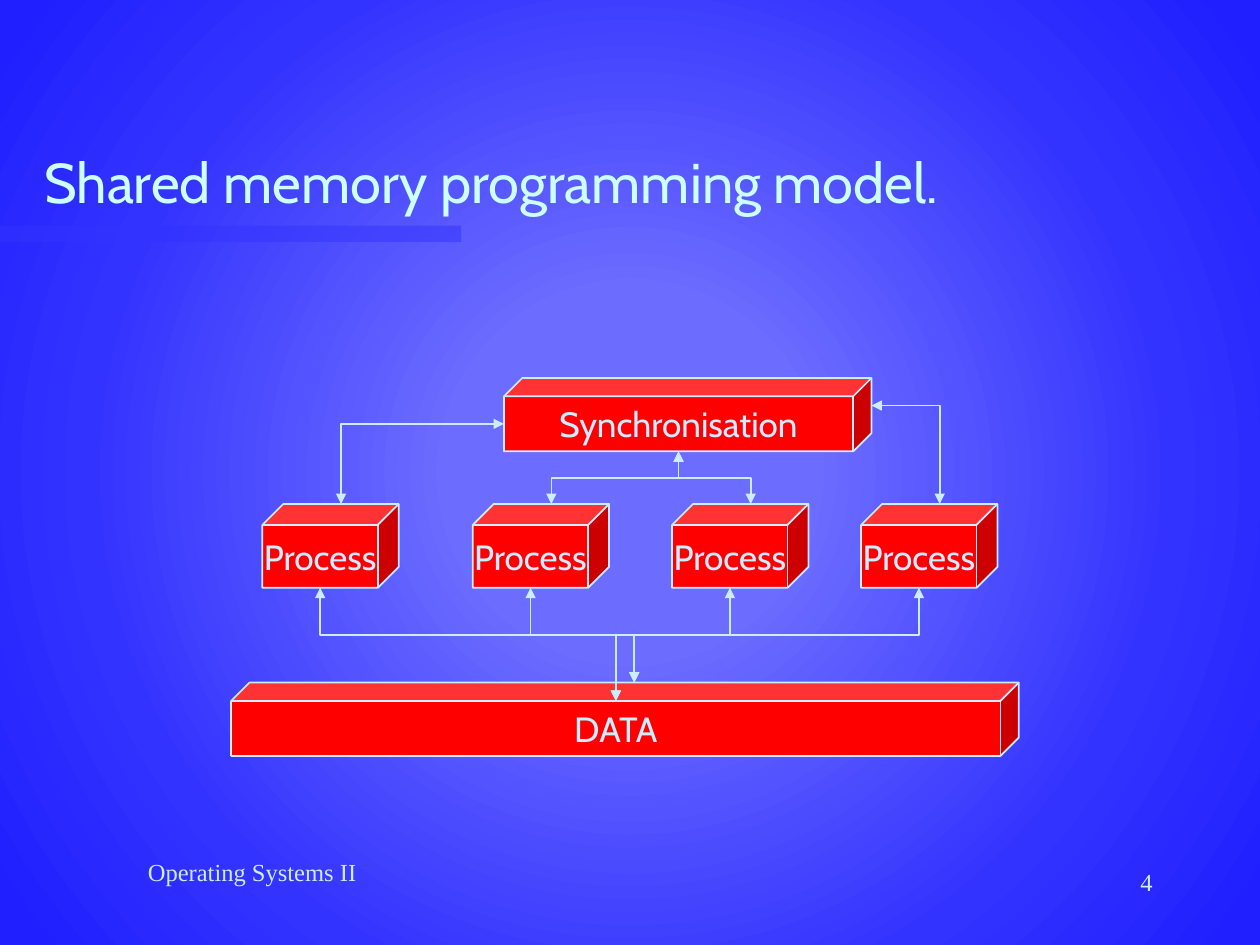
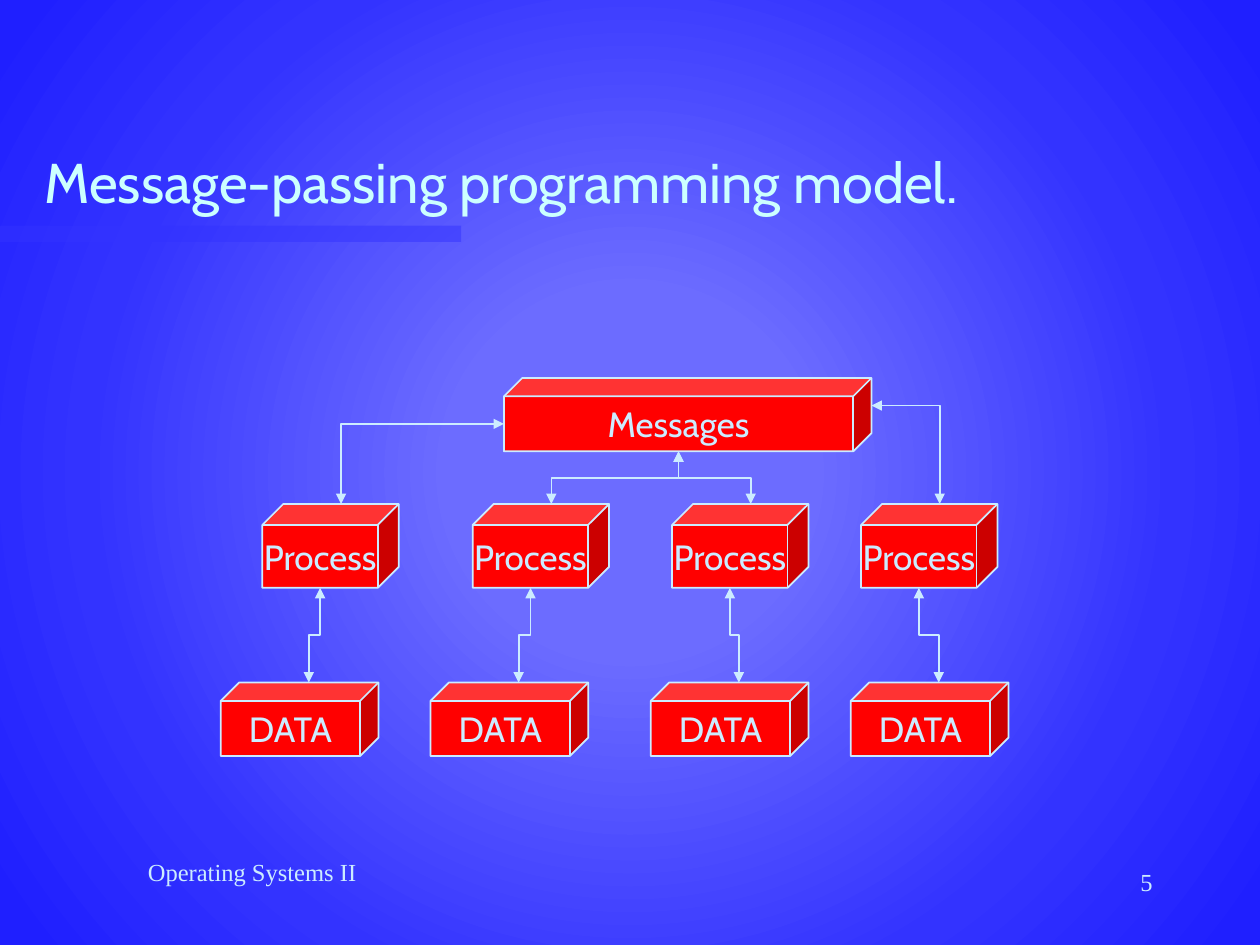
from dataclasses import dataclass

from lxml.etree import SubElement
from pptx import Presentation
from pptx.dml.color import RGBColor as Rgb
from pptx.enum.shapes import MSO_CONNECTOR as Link, MSO_SHAPE as Form
from pptx.enum.text import MSO_ANCHOR as Anchor, MSO_AUTO_SIZE as Fit, PP_ALIGN as Align
from pptx.oxml.ns import qn
from pptx.util import Cm, Pt


@dataclass(frozen=True)
class Theme:
    glow: tuple = ((0, "6C6CFF"), (23, "6C6CFF"), (69, "3333FF"), (97, "1F1FFF"))
    band: str = "3333FF"
    title: str = "CCFFFF"
    pale: str = "CCECFF"
    red: str = "FF0000"
    sans: str = "Cabin"
    serif: str = "Times New Roman"
    head_size: int = 32
    cube_size: int = 20
    foot_size: int = 14
    stroke: float = 1


THEME = Theme()


@dataclass(frozen=True)
class Cube:
    """A labelled cube, in centimetres, with the points where arrows meet it."""
    text: str
    x: float
    y: float
    w: float
    h: float

    @property
    def depth(self) -> float:
        return min(self.w, self.h) / 4

    @property
    def top(self) -> tuple:
        return self.x + (self.w + self.depth) / 2, self.y

    @property
    def front(self) -> tuple:
        return self.x + (self.w - self.depth) / 2, self.y + self.depth

    @property
    def base(self) -> tuple:
        return self.front[0], self.y + self.h

    @property
    def left(self) -> tuple:
        return self.x, self.y + (self.h + self.depth) / 2

    @property
    def right(self) -> tuple:
        return self.x + self.w, self.y + (self.h - self.depth) / 2


# Rows of the two diagrams
HUB_TOP, TASK_TOP, DATA_TOP = 7.62, 10.16, 13.76
BAR_H = 1.48
TASKS = [Cube("Process", x, TASK_TOP, 2.75, 1.69) for x in (5.29, 9.53, 13.55, 17.36)]
POOL = Cube("DATA", 4.66, DATA_TOP, 15.88, BAR_H)
STORES = [Cube("DATA", x, DATA_TOP, 3.18, BAR_H) for x in (4.45, 8.68, 13.12, 17.15)]


def write(frame, text: str, *, size: float, font: str = THEME.sans, color: str = THEME.pale,
          align=Align.CENTER, anchor=Anchor.TOP, wrap: bool = True) -> None:
    frame.word_wrap = wrap
    frame.auto_size = Fit.NONE
    frame.vertical_anchor = anchor
    para = frame.paragraphs[0]
    para.alignment = align
    run = para.add_run()
    run.text = text
    run.font.size = Pt(size)
    run.font.name = font
    run.font.color.rgb = Rgb.from_string(color)


def draw_cube(slide, cube: Cube) -> None:
    shape = slide.shapes.add_shape(Form.CUBE, Cm(cube.x), Cm(cube.y), Cm(cube.w), Cm(cube.h))
    shape.shadow.inherit = False
    shape.fill.solid()
    shape.fill.fore_color.rgb = Rgb.from_string(THEME.red)
    shape.line.color.rgb = Rgb.from_string(THEME.pale)
    shape.line.width = Pt(THEME.stroke)
    write(shape.text_frame, cube.text, size=THEME.cube_size, anchor=Anchor.MIDDLE, wrap=False)


def join(slide, start: tuple, end: tuple, *, bend: float = 0.5, corner: bool = False) -> None:
    """Draw a two-headed elbow arrow that leaves its start upright."""
    (x1, y1), (x2, y2) = start, end
    dx, dy = x2 - x1, y2 - y1
    mid_x, mid_y = (x1 + x2) / 2, (y1 + y2) / 2
    # The frame is turned a quarter, so its width is the rise of the arrow
    half_w, half_h = abs(dy) / 2, abs(dx) / 2
    flip = (dx > 0) == (dy > 0)
    side = -half_w if flip else half_w
    line = slide.shapes.add_connector(Link.ELBOW, Cm(mid_x - side), Cm(mid_y - half_h),
                                      Cm(mid_x + side), Cm(mid_y + half_h))
    line.line.color.rgb = Rgb.from_string(THEME.pale)
    line.line.width = Pt(THEME.stroke)
    props = line._element.spPr
    props.find(qn("a:xfrm")).set("rot", str((270 if dx > 0 else 90) * 60000))
    shape = props.find(qn("a:prstGeom"))
    if corner:
        shape.set("prst", "bentConnector2")
    else:
        SubElement(shape.find(qn("a:avLst")), qn("a:gd"), name="adj1",
                   fmla=f"val {round(bend * 100000)}")
    for tip in ("a:headEnd", "a:tailEnd"):
        SubElement(props.find(qn("a:ln")), qn(tip), type="triangle")
    SubElement(props, qn("a:effectLst"))


def paint_back(master) -> None:
    """Give the master its round glow."""
    master.background.fill.gradient()
    glow = master.element.find(".//" + qn("a:gradFill"))
    glow.clear()
    stops = SubElement(glow, qn("a:gsLst"))
    for place, color in THEME.glow:
        stop = SubElement(stops, qn("a:gs"), pos=str(place * 1000))
        SubElement(stop, qn("a:srgbClr"), val=color)
    ring = SubElement(glow, qn("a:path"), {"path": "circle"})
    SubElement(ring, qn("a:fillToRect"), {side: "50000" for side in "ltrb"})


def add_band(master, slide) -> None:
    """Draw the band under the title, then move it to the master."""
    band = slide.shapes.add_shape(Form.RECTANGLE, 0, Cm(4.55), Cm(9.3), Cm(0.33))
    band.shadow.inherit = False
    band.line.fill.background()
    band.fill.solid()
    band.fill.fore_color.rgb = Rgb.from_string(THEME.band)
    tint = band._element.spPr.find(".//" + qn("a:srgbClr"))
    SubElement(tint, qn("a:alpha"), val="50000")
    band._element.nvSpPr.cNvPr.set("id", "20")
    master.shapes._spTree.insert(2, band._element)


def add_page(deck, title: str, number: int):
    """Start a slide with its title, footer and page number."""
    slide = deck.slides.add_slide(deck.slide_layouts.get_by_name("Title Only"))
    head = slide.shapes.title
    head.left, head.top, head.width, head.height = Cm(0.64), Cm(1.27), Cm(21.59), Cm(3.18)
    write(head.text_frame, title, size=THEME.head_size, color=THEME.title,
          align=Align.LEFT, anchor=Anchor.BOTTOM)
    for text, x, y, w, align in (("Operating Systems II", 1.06, 17.15, 8.05, Align.CENTER),
                                 (str(number), 18.2, 17.35, 5.29, Align.RIGHT)):
        box = slide.shapes.add_textbox(Cm(x), Cm(y), Cm(w), Cm(1.27))
        write(box.text_frame, text, size=THEME.foot_size, font=THEME.serif, align=align)
    return slide


def draw_model(slide, label: str, stores: list) -> None:
    """Draw the cubes, and link each process to the hub."""
    hub = Cube(label, 10.16, HUB_TOP, 7.41, BAR_H)
    for cube in [*stores, *TASKS, hub]:
        draw_cube(slide, cube)
    first, *inner, last = TASKS
    join(slide, first.top, hub.left, corner=True)
    for task in inner:
        join(slide, task.top, hub.base)
    join(slide, last.top, hub.right, corner=True)


def main() -> None:
    deck = Presentation()
    deck.slide_width, deck.slide_height = Cm(25.4), Cm(19.05)
    paint_back(deck.slide_master)

    # Shared memory: all processes use one pool, bending at the same level
    shared = add_page(deck, "Shared memory programming model.", 4)
    add_band(deck.slide_master, shared)
    draw_model(shared, "Synchronisation", [POOL])
    for task in TASKS:
        outer = task in (TASKS[0], TASKS[-1])
        goal = POOL.front if outer else POOL.top
        start = task.base[1]
        level = (start + POOL.y) / 2
        join(shared, task.base, goal, bend=(level - start) / (goal[1] - start))

    # Message passing: each process has its own data
    passing = add_page(deck, "Message-passing programming model.", 5)
    draw_model(passing, "Messages", STORES)
    for store, task in zip(STORES, TASKS):
        join(passing, store.top, task.base)

    deck.save("out.pptx")


if __name__ == "__main__":
    main()
